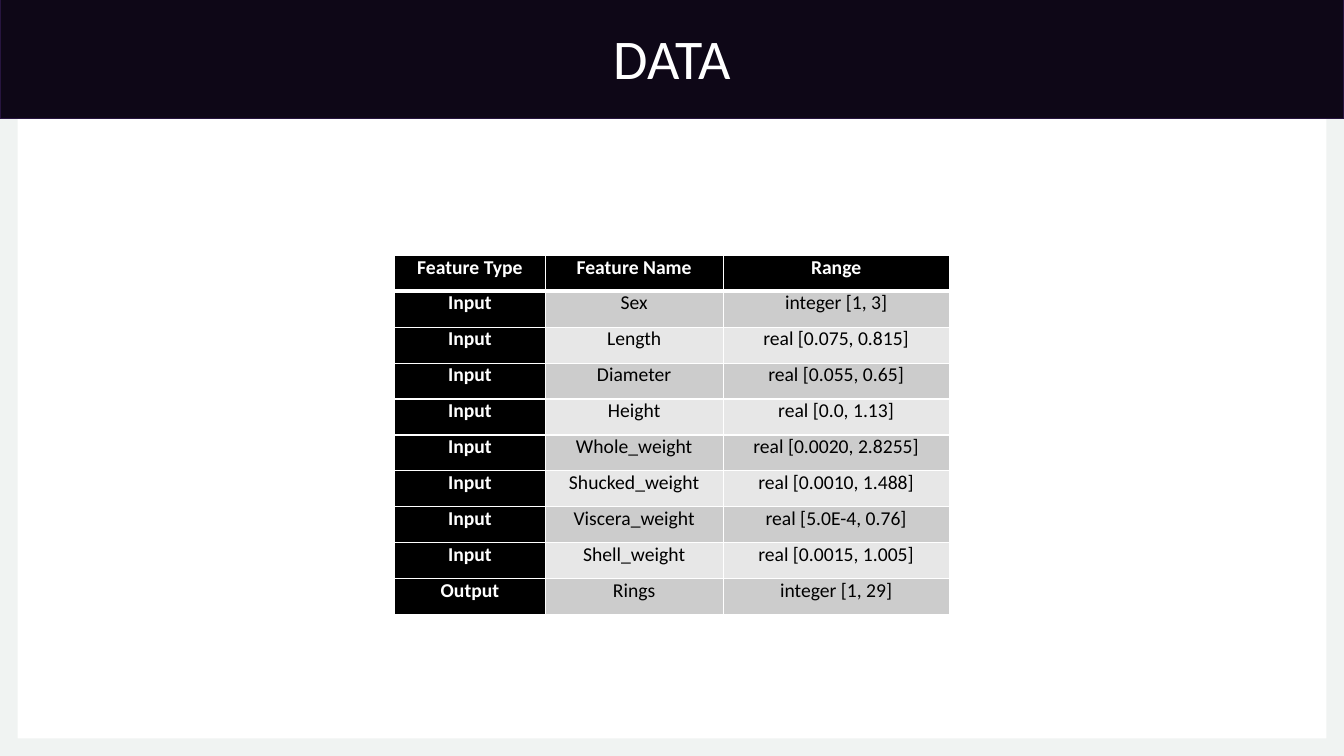
from lxml.etree import SubElement
from pptx import Presentation
from pptx.dml.color import RGBColor
from pptx.enum.shapes import MSO_SHAPE
from pptx.enum.text import MSO_ANCHOR, PP_ALIGN
from pptx.oxml.ns import qn
from pptx.util import Inches, Pt

COLUMNS, ROWS = 80, 45
FEATURES = [
    ("Feature Type", "Feature Name", "Range"),
    ("Input", "Sex", "integer [1, 3]"),
    ("Input", "Length", "real [0.075, 0.815]"),
    ("Input", "Diameter", "real [0.055, 0.65]"),
    ("Input", "Height", "real [0.0, 1.13]"),
    ("Input", "Whole_weight", "real [0.0020, 2.8255]"),
    ("Input", "Shucked_weight", "real [0.0010, 1.488]"),
    ("Input", "Viscera_weight", "real [5.0E-4, 0.76]"),
    ("Input", "Shell_weight", "real [0.0015, 1.005]"),
    ("Output", "Rings", "integer [1, 29]"),
]


def color(code):
    return RGBColor.from_string(code)


class DataSlide:
    """Holds the deck, its current slide, the grid and the text style."""

    font = "Calibri"
    light, dark = "FFFFFF", "000000"
    stripes = ("E7E7E7", "CCCCCC")

    def __init__(self):
        self.deck = Presentation()
        self.deck.slide_width, self.deck.slide_height = Inches(13.33), Inches(7.5)
        self.slide = self.deck.slides.add_slide(self.deck.slide_layouts[6])

    def across(self, columns):
        return round(self.deck.slide_width * columns / COLUMNS)

    def down(self, rows):
        return round(self.deck.slide_height * rows / ROWS)

    def label(self, frame, text, size, shade, bold=False):
        frame.text = text
        paragraph = frame.paragraphs[0]
        paragraph.alignment = PP_ALIGN.CENTER
        font = paragraph.runs[0].font
        font.name, font.size, font.bold = self.font, Pt(size), bold
        font.color.rgb = color(shade)

    def paint(self, shape, fill):
        shape.shadow.inherit = False
        shape.fill.solid()
        shape.fill.fore_color.rgb = color(fill)

    def frame(self, inset, fill):
        left, top = self.across(inset), self.down(inset)
        right, bottom = self.across(COLUMNS - inset), self.down(ROWS - inset)
        width, height = self.across(COLUMNS), self.down(ROWS)
        outline = self.slide.shapes.build_freeform(0, 0)
        outline.add_line_segments([(width, 0), (width, height), (0, height)])
        outline.move_to(left, top)
        outline.add_line_segments([(left, bottom), (right, bottom), (right, top)])
        border = outline.convert_to_shape()
        self.paint(border, fill)
        border.line.fill.background()

    def banner(self, title, top, height, fill, edge):
        band = self.slide.shapes.add_shape(
            MSO_SHAPE.RECTANGLE, 0, self.down(top), self.across(COLUMNS), self.down(height))
        self.paint(band, fill)
        band.line.color.rgb, band.line.width = color(edge), Pt(1)
        band.text_frame.vertical_anchor = MSO_ANCHOR.MIDDLE
        self.label(band.text_frame, title, 40, self.light)

    def rule(self, cell, side, points):
        properties = cell._tc.get_or_add_tcPr()
        line = SubElement(properties, qn(f"a:ln{side}"), w=str(Pt(points)))
        SubElement(SubElement(line, qn("a:solidFill")), qn("a:srgbClr"), val=self.light)

    def table(self, entries, left, top, widths, row_height):
        grid = self.slide.shapes.add_table(
            len(entries), len(widths), self.across(left), self.down(top),
            self.across(sum(widths)), self.down(row_height * len(entries))).table
        for column, width in zip(grid.columns, widths):
            column.width = self.across(width)
        for row, entry in enumerate(entries):
            grid.rows[row].height = self.down(row_height)
            for column, text in enumerate(entry):
                self.cell(grid.cell(row, column), text, row, row == 0 or column == 0)

    def cell(self, cell, text, row, heading):
        cell.margin_left = cell.margin_right = Inches(0.07)
        cell.margin_top = cell.margin_bottom = 0
        heavy = {(0, "B"), (1, "T")}
        for side in "LRTB":
            self.rule(cell, side, 3 if (row, side) in heavy else 1)
        cell.fill.solid()
        cell.fill.fore_color.rgb = color(self.dark if heading else self.stripes[row % 2])
        self.label(cell.text_frame, text, 14, self.light if heading else self.dark, heading)


data = DataSlide()
data.frame(inset=1.05, fill="F0F3F2")
data.banner("DATA", top=-0.3, height=7.35, fill="0E0717", edge="27153F")
data.table(FEATURES, left=23.5, top=15.2, widths=(8.95, 10.6, 13.45), row_height=2.14)
data.deck.save("out.pptx")
